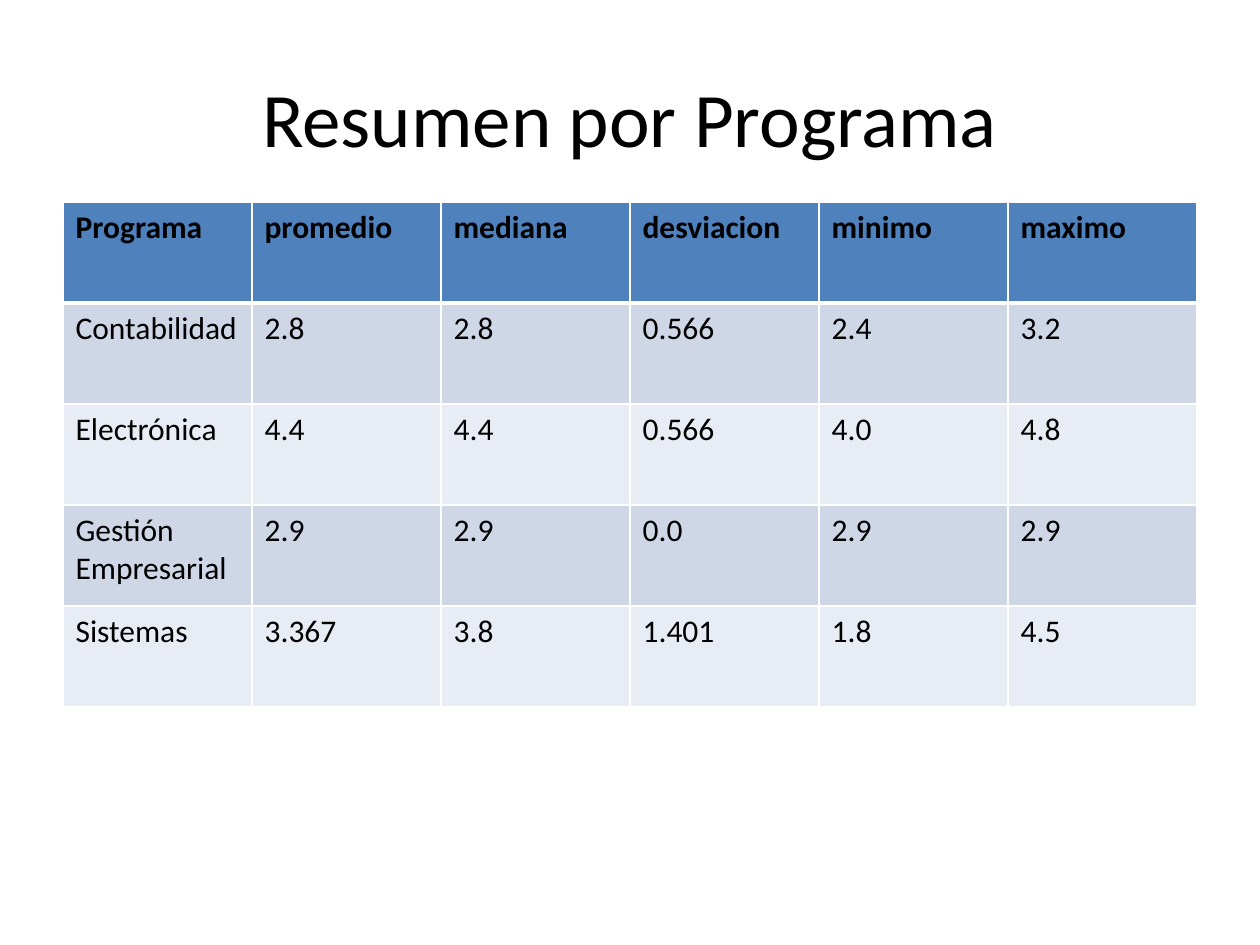
"""Build a slide with a summary table of grades by programme."""
from lxml.etree import SubElement
from pptx import Presentation
from pptx.dml.color import RGBColor
from pptx.enum.text import MSO_ANCHOR as Anchor, PP_ALIGN as Align
from pptx.oxml.ns import qn
from pptx.util import Pt

TITLE = "Resumen por Programa"
ROWS = [
    ("Programa", "promedio", "mediana", "desviacion", "minimo", "maximo"),
    ("Contabilidad", "2.8", "2.8", "0.566", "2.4", "3.2"),
    ("Electrónica", "4.4", "4.4", "0.566", "4.0", "4.8"),
    ("Gestión Empresarial", "2.9", "2.9", "0.0", "2.9", "2.9"),
    ("Sistemas", "3.367", "3.8", "1.401", "1.8", "4.5"),
]
FONT, INK, RULE = "Calibri", "000000", "FFFFFF"
HEADER, BANDS = "4F81BD", ("E8ECF4", "CFD7E7")
LEFT, TOP, COL_W, ROW_H = 63, 202, 189, 101


def px(n):
    return round(n * 914400 / 126)


def rgb(value):
    return RGBColor.from_string(value)


def add_run(p, text, size, bold=False):
    r = p.add_run()
    r.text = text
    r.font.name, r.font.size, r.font.bold = FONT, Pt(size), bold
    r.font.color.rgb = rgb(INK)


def set_borders(cell, top, bottom):
    tc_pr = cell._tc.get_or_add_tcPr()
    for side, width in (("L", 1), ("R", 1), ("T", top), ("B", bottom)):
        ln = SubElement(tc_pr, qn(f"a:ln{side}"), w=str(Pt(width)))
        SubElement(SubElement(ln, qn("a:solidFill")), qn("a:srgbClr"), val=RULE)


def add_title(s):
    sp = s.shapes.title
    sp.left, sp.top, sp.width, sp.height = map(px, (LEFT, 38, 1134, 157))
    tf = sp.text_frame
    tf.word_wrap, tf.vertical_anchor = True, Anchor.MIDDLE
    p = tf.paragraphs[0]
    p.alignment = Align.CENTER
    add_run(p, TITLE, 44)


def add_summary(s):
    n_rows, n_cols = len(ROWS), len(ROWS[0])
    size = px(COL_W * n_cols), px(ROW_H * n_rows)
    table = s.shapes.add_table(n_rows, n_cols, px(LEFT), px(TOP), *size).table
    for col in table.columns:
        col.width = px(COL_W)
    for i, values in enumerate(ROWS):
        table.rows[i].height = px(ROW_H)
        for j, text in enumerate(values):
            cell = table.cell(i, j)
            set_borders(cell, 3 if i == 1 else 1, 3 if i == 0 else 1)
            cell.fill.solid()
            cell.fill.fore_color.rgb = rgb(BANDS[i % 2] if i else HEADER)
            add_run(cell.text_frame.paragraphs[0], text, 18, i == 0)


def main():
    prs = Presentation()
    prs.slide_width, prs.slide_height = px(1260), px(945)
    s = prs.slides.add_slide(prs.slide_layouts.get_by_name("Title Only"))
    add_title(s)
    add_summary(s)
    prs.save("out.pptx")


if __name__ == "__main__":
    main()
